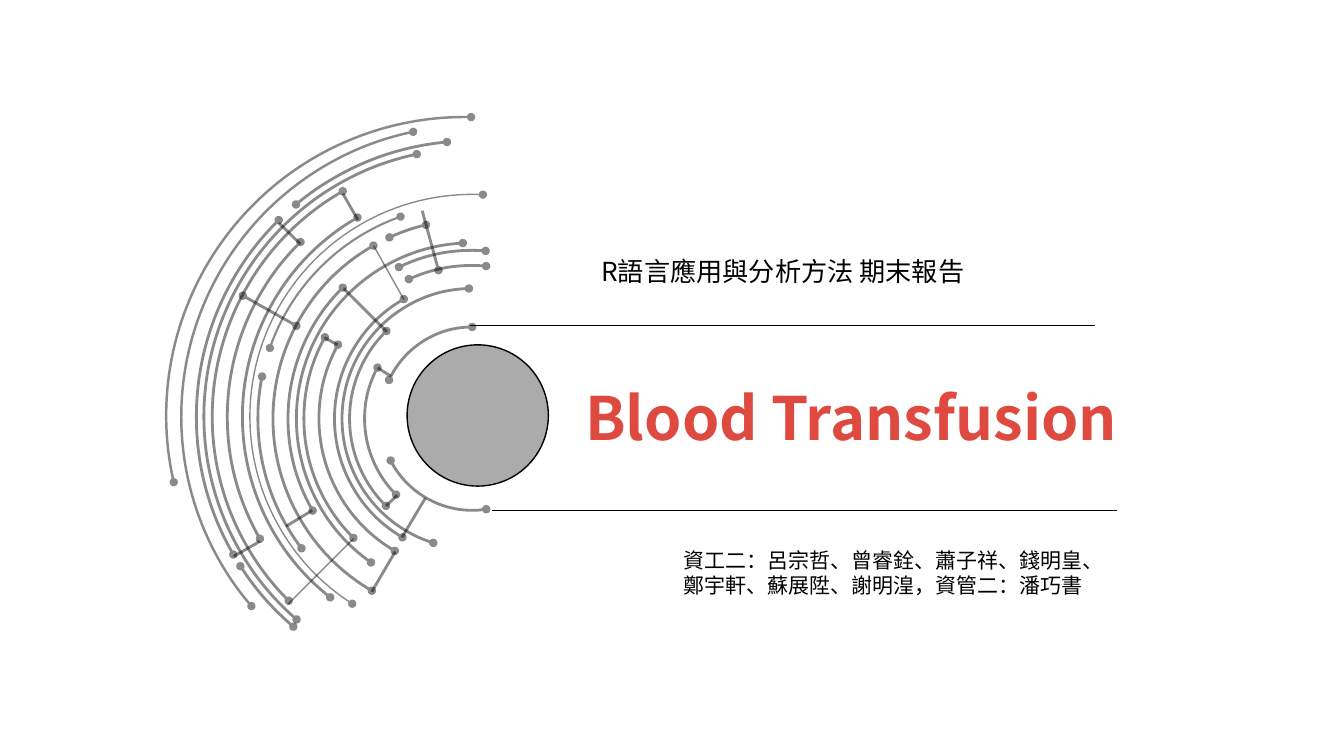
from lxml.etree import SubElement
from pptx import Presentation
from pptx.dml.color import RGBColor as Rgb
from pptx.enum.shapes import MSO_CONNECTOR as Link, MSO_SHAPE as Form
from pptx.enum.text import MSO_AUTO_SIZE as Fit, PP_ALIGN as Align
from pptx.oxml.ns import qn
from pptx.util import Cm, Pt

FONT = "Noto Sans CJK SC"
INK = {"black": "000000", "red": "DE4A40"}

# radius, start degree, end degree, weight
FAR = [
    (6.55, 299.86, 45.1, 2), (6.95, 275.24, 309.7, 2), (6.95, 32.84, 49.59, 2),
    (6.76, 281.92, 49.12, 2), (7.33, 281.69, 40.64, 1.75),
    (6.95, 314.54, 29.99, 2), (5.79, 299.95, 51.85, 2),
    (5.6, 267.22, 57.34, 1), (6.17, 314.52, 29.92, 2),
]
RIM = [(7.52, 268.76, 12.93, 1.75)]
NEAR = [
    (3.09, 314.37, 45.36, 2), (3.47, 299.77, 59.57, 2), (3.86, 331.13, 59.69, 2),
    (4.64, 314.66, 29.97, 2), (5.4, 289.52, 340.75, 1.5), (2.31, 270, 335.05, 2),
    (2.31, 27.21, 98.83, 2), (5.02, 283.4, 294.54, 2), (4.24, 265.39, 295.81, 2),
    (3.86, 264.77, 294.4, 2), (5.4, 348.67, 37.22, 2), (3.28, 271.43, 72.6, 2),
    (4.43, 273.04, 54.86, 2), (2.71, 331.67, 44.97, 2), (4.24, 331.08, 45.12, 2),
    (5.02, 299.71, 59.76, 2),
]
SPOKES = [
    (5.66, 6.53, 5.33, 6.32, 2, ()), (4.32, 5.74, 3.99, 5.56, 2, ()),
    (5.56, 5.41, 4.47, 4.32, 2, ()), (3.38, 3.2, 2.84, 2.67, 2, ()),
    (3.68, 9.91, 3.02, 10.31, 2, ()), (2.36, 10.69, 1.7, 11.07, 2, ()),
    (4.72, 10.62, 3.07, 12.27, 1, ()), (5.82, 9.53, 5.54, 9.8, 2, ()),
    (6.53, 9.6, 5.94, 10.59, 2, ()), (5.77, 10.95, 5.18, 11.96, 2, ()),
    (5.99, 4.6, 5.23, 3.25, 1, ()), (4.83, 2.59, 4.45, 1.93, 2, ()),
    (3.28, 5.26, 1.93, 4.5, 2, ("head", "tail")),
    (6.86, 3.86, 6.45, 2.36, 2, ("head",)),
]


def fade(fill, alpha):
    tone = next(fill.iter(qn("a:srgbClr")))
    SubElement(tone, qn("a:alpha")).set("val", str(alpha * 1000))


def ink(line, weight, alpha=100, dots=()):
    line.color.rgb = Rgb.from_string(INK["black"])
    line.width = Pt(weight)
    part = line._get_or_add_ln()
    if alpha < 100:
        fade(part, alpha)
    for end in dots:
        SubElement(part, qn(f"a:{end}End")).set("type", "oval")


def rule(shapes, x1, y1, x2, y2, weight, **look):
    link = shapes.add_connector(Link.STRAIGHT, Cm(x1), Cm(y1), Cm(x2), Cm(y2))
    ink(link.line, weight, **look)
    SubElement(link._element.spPr, qn("a:effectLst"))


def disc(shapes, form, x, y, r):
    shape = shapes.add_shape(form, Cm(x - r), Cm(y - r), Cm(2 * r), Cm(2 * r))
    shape.shadow.inherit = False
    return shape


def arc(shapes, x, y, r, start, end, weight):
    shape = disc(shapes, Form.ARC, x, y, r)
    shape.adjustments[0] = start * 0.6
    shape.adjustments[1] = end * 0.6
    shape._element.spPr.xfrm.set("flipH", "1")
    shape.fill.background()
    ink(shape.line, weight, alpha=45, dots=("head", "tail"))


def write(slide, text, x, y, w, h, size, color="black", bold=False,
          align=Align.LEFT, pitch=None):
    frame = slide.shapes.add_textbox(Cm(x), Cm(y), Cm(w), Cm(h)).text_frame
    frame.word_wrap = True
    frame.auto_size = Fit.SHAPE_TO_FIT_TEXT
    para = frame.paragraphs[0]
    para.alignment = align
    para.line_spacing = pitch
    run = para.add_run()
    run.text = text
    font = run.font
    font.name, font.size, font.bold = FONT, Pt(size), bold
    font.color.rgb = Rgb.from_string(INK[color])
    SubElement(run._r.get_or_add_rPr(), qn("a:ea")).set("typeface", FONT)


def dial(slide, x, y):
    hub = disc(slide.shapes, Form.OVAL, x + 7.85, y + 7.52, 1.78)
    hub.fill.solid()
    hub.fill.fore_color.rgb = Rgb.from_string(INK["black"])
    fade(hub._element.spPr, 33)
    ink(hub.line, 1)
    group = slide.shapes.add_group_shape().shapes
    for dx, dy, rings in ((7.71, 7.55, FAR), (7.52, 7.52, RIM), (7.71, 7.6, NEAR)):
        for ring in rings:
            arc(group, x + dx, y + dy, *ring)
    for x1, y1, x2, y2, weight, dots in SPOKES:
        rule(group, x + x1, y + y1, x + x2, y + y2, weight, alpha=45, dots=dots)


def title(slide, x, y, w):
    for dx, dy in ((-2.16, 1.88), (-1.6, 6.53)):
        rule(slide.shapes, x + dx, y + dy, x + dx + 15.75, y + dy, 0.5)
    write(slide, "R語言應用與分析方法 期末報告", x, y, 11.46, 1.07, 18.7,
          align=Align.CENTER)
    write(slide, "Blood Transfusion", x, y + 3.15, w, 2.08, 42.7,
          color="red", bold=True, align=Align.CENTER)
    write(slide, "資工二：呂宗哲、曾睿銓、蕭子祥、錢明皇、鄭宇軒、蘇展陞、謝明湟，資管二：潘巧書",
          x + 2.97, y + 7.34, 11.46, 1.55, 15)


def main():
    deck = Presentation()
    deck.slide_width, deck.slide_height = Cm(33.87), Cm(19.05)
    slide = deck.slides.add_slide(deck.slide_layouts[6])
    dial(slide, 4.19, 2.95)
    title(slide, 14, 6.32, 14.91)
    deck.save("out.pptx")


if __name__ == "__main__":
    main()
